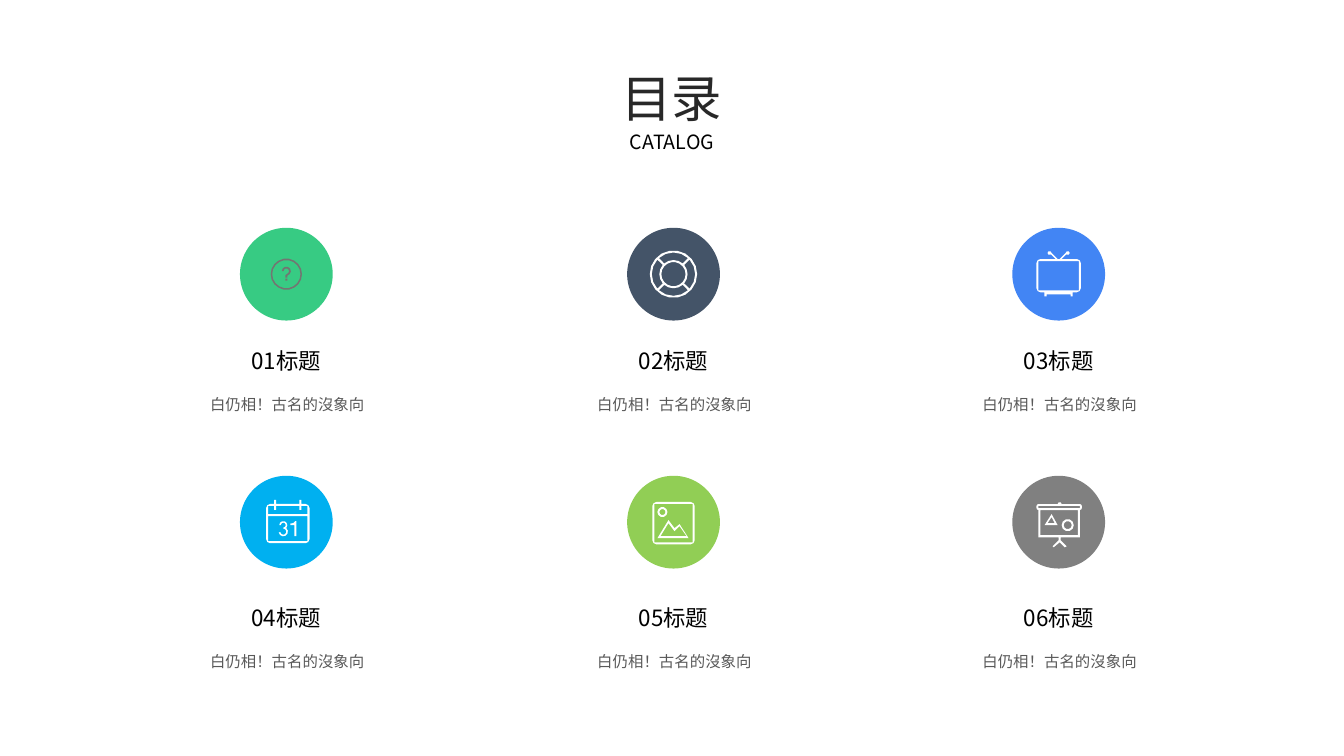
"""Build a catalogue slide with six icon topics in a three by two grid."""
from dataclasses import dataclass
from math import cos, radians, sin

from pptx import Presentation
from pptx.dml.color import RGBColor
from pptx.enum.shapes import MSO_SHAPE
from pptx.enum.text import MSO_ANCHOR, MSO_AUTO_SIZE, PP_ALIGN
from pptx.oxml.xmlchemy import OxmlElement
from pptx.slide import Slide
from pptx.text.text import TextFrame
from pptx.util import Inches, Pt

OVAL = MSO_SHAPE.OVAL
TOP = MSO_ANCHOR.TOP
GROW = MSO_AUTO_SIZE.SHAPE_TO_FIT_TEXT
CENTER = PP_ALIGN.CENTER

FONT = "Noto Sans CJK SC"
WHITE = RGBColor(0xFF, 0xFF, 0xFF)
BLACK = RGBColor(0x00, 0x00, 0x00)
INK = RGBColor(0x28, 0x28, 0x28)
BODY = RGBColor(0x59, 0x59, 0x59)
MUTED = RGBColor(0x73, 0x75, 0x72)
GREEN = RGBColor(0x37, 0xCB, 0x83)
NAVY = RGBColor(0x44, 0x54, 0x68)
BLUE = RGBColor(0x42, 0x85, 0xF4)
CYAN = RGBColor(0x00, 0xB0, 0xF0)
LIME = RGBColor(0x91, 0xCE, 0x55)
GRAY = RGBColor(0x80, 0x80, 0x80)

COLUMN_CENTERS = (2.84, 6.68, 10.5)
CIRCLE_CENTERS = (2.72, 5.18)
HEADING_TOPS = (3.39, 5.94)
DIAMETER = 0.92
DESCRIPTION = "白仍相！古名的沒象向"
UNITS_PER_INCH = 1000

Outline = list[tuple[float, float]]


@dataclass
class Topic:
    """A topic with its circle colour and icon outlines."""
    heading: str
    circle: RGBColor
    icon: list[Outline]
    icon_color: RGBColor = WHITE


def arc(x: float, y: float, radius: float, start: float = 0, end: float = 360) -> Outline:
    """Return points along an arc, with finer steps for larger radii."""
    step = 20 if radius > 0.1 else 36 if radius > 0.02 else 60
    steps = max(1, round(abs(end - start) / step))
    angles = [radians(start + (end - start) * i / steps) for i in range(steps + 1)]
    return [(x + radius * cos(a), y + radius * sin(a)) for a in angles]


def ring(x: float, y: float, outer: float, inner: float) -> list[Outline]:
    """Return the two circles of a ring."""
    return [arc(x, y, outer)[1:], arc(x, y, inner)[1:]]


def box(left: float, top: float, right: float, bottom: float, radius: float = 0) -> Outline:
    """Return a rectangle, with rounded corners when a radius is given."""
    if not radius:
        return [(left, top), (right, top), (right, bottom), (left, bottom)]
    return (arc(left + radius, top + radius, radius, 180, 270)
            + arc(right - radius, top + radius, radius, 270, 360)
            + arc(right - radius, bottom - radius, radius, 0, 90)
            + arc(left + radius, bottom - radius, radius, 90, 180))


def mirror(outline: Outline) -> Outline:
    """Flip an outline from left to right."""
    return [(-x, y) for x, y in outline]


QUESTION = ring(0, 0, 0.155, 0.14) + [
    arc(0, -0.03, 0.045, 180, 400)
    + [(0.01, 0.015), (0.01, 0.035), (-0.01, 0.035), (-0.01, 0.01)]
    + arc(0, -0.03, 0.027, 400, 180),
    box(-0.01, 0.045, 0.01, 0.065),
]
LIFEBUOY = ring(0, 0, 0.235, 0.12) + [
    arc(0, 0, 0.215, mid - 42, mid + 42) + arc(0, 0, 0.14, mid + 41, mid - 41)
    for mid in range(0, 360, 90)
]
ANTENNA = [(-0.03, -0.15), (-0.08, -0.2), (-0.07, -0.21), (-0.01, -0.15)]
KNOB = arc(-0.09, -0.21, 0.02)[1:]
TELEVISION = [
    box(-0.22, -0.15, 0.22, 0.18, 0.04),
    box(-0.2, -0.13, 0.2, 0.16),
    ANTENNA, mirror(ANTENNA), KNOB, mirror(KNOB),
    [(-0.14, 0.18), (-0.14, 0.22), (-0.12, 0.22), (-0.12, 0.2),
     (0.12, 0.2), (0.12, 0.22), (0.14, 0.22), (0.14, 0.18)],
]
CALENDAR = [
    box(-0.2, -0.18, 0.23, 0.21, 0.04),
    box(-0.18, -0.16, 0.21, -0.08),
    box(-0.18, -0.06, 0.21, 0.19),
    arc(-0.03, 0.03, 0.04, 180, 400) + arc(-0.03, 0.095, 0.046, 310, 530)
    + arc(-0.03, 0.095, 0.03, 530, 270) + arc(-0.03, 0.03, 0.024, 90, -180),
    [(0.08, 0.14), (0.1, 0.14), (0.1, -0.01), (0.09, -0.01),
     (0.07, 0.01), (0.04, 0.015), (0.04, 0.03), (0.08, 0.03)],
] + [box(x, y, x + 0.02, y + 0.04) for x in (-0.12, 0.13) for y in (-0.22, -0.16)]
LANDSCAPE = ring(-0.11, -0.1, 0.05, 0.03) + [
    box(-0.21, -0.2, 0.21, 0.22, 0.04),
    box(-0.19, -0.18, 0.19, 0.2),
    [(-0.16, 0.16), (-0.05, -0.02), (0.01, 0.06), (0.06, 0.02), (0.15, 0.16)],
    [(-0.13, 0.14), (-0.05, 0.01), (0.01, 0.09), (0.06, 0.04), (0.13, 0.14)],
]
BOARD = ring(0.09, 0.03, 0.06, 0.04) + [
    box(-0.22, -0.18, 0.23, -0.12, 0.02),
    box(-0.2, -0.16, 0.21, -0.14),
    arc(0.01, -0.18, 0.02, 180, 360),
    box(-0.2, -0.12, 0.21, 0.15),
    box(-0.18, -0.12, 0.19, 0.13),
    [(-0.14, 0.03), (-0.07, -0.08), (-0.01, 0.03)],
    [(-0.11, 0.01), (-0.07, -0.05), (-0.04, 0.01)],
    [(0, 0.15), (0, 0.18), (-0.06, 0.24), (-0.05, 0.25), (0.01, 0.2),
     (0.06, 0.25), (0.08, 0.24), (0.02, 0.18), (0.02, 0.15)],
]
TOPICS = (
    Topic("01标题", GREEN, QUESTION, MUTED),
    Topic("02标题", NAVY, LIFEBUOY),
    Topic("03标题", BLUE, TELEVISION),
    Topic("04标题", CYAN, CALENDAR),
    Topic("05标题", LIME, LANDSCAPE),
    Topic("06标题", GRAY, BOARD),
)


def format_text(tf: TextFrame, styles: list[tuple[int, RGBColor]], spacing: float) -> None:
    """Centre the paragraphs and give each its size and colour."""
    tf.word_wrap = True
    tf.auto_size = GROW
    tf.vertical_anchor = TOP
    for p, (size, color) in zip(tf.paragraphs, styles):
        p.alignment = CENTER
        p.line_spacing = spacing
        for r in p.runs:
            r.font.size = Pt(size)
            r.font.color.rgb = color
            r.font.name = FONT
            ea = OxmlElement("a:ea")
            ea.set("typeface", FONT)
            r.font._element.append(ea)


def add_label(s: Slide, text: str, x: float, y: float, w: float, h: float,
              size: int, color: RGBColor, spacing: float) -> None:
    """Add a text box centred on x."""
    tf = s.shapes.add_textbox(Inches(x - w / 2), Inches(y), Inches(w), Inches(h)).text_frame
    tf.text = text
    format_text(tf, [(size, color)], spacing)


def add_icon(s: Slide, outlines: list[Outline], x: float, y: float, color: RGBColor) -> None:
    """Draw the outlines as one filled shape around a centre."""
    scaled = [[(px * UNITS_PER_INCH, py * UNITS_PER_INCH) for px, py in o] for o in outlines]
    builder = s.shapes.build_freeform(*scaled[0][0], scale=Inches(1) / UNITS_PER_INCH)
    for i, points in enumerate(scaled):
        if i:
            builder.move_to(*points[0])
        builder.add_line_segments(points[1:], close=True)
    sp = builder.convert_to_shape(Inches(x), Inches(y))
    sp.shadow.inherit = False
    sp.fill.solid()
    sp.fill.fore_color.rgb = color
    sp.line.fill.background()


def add_topic(s: Slide, topic: Topic, x: float, y: float, heading_top: float) -> None:
    """Draw a topic's circle, icon, heading and description."""
    sp = s.shapes.add_shape(OVAL, Inches(x - DIAMETER / 2), Inches(y - DIAMETER / 2),
                            Inches(DIAMETER), Inches(DIAMETER))
    sp.shadow.inherit = False
    sp.fill.solid()
    sp.fill.fore_color.rgb = topic.circle
    sp.line.fill.background()
    add_icon(s, topic.icon, x, y, topic.icon_color)
    add_label(s, topic.heading, x, heading_top, 1.95, 0.37, 16, BLACK, 1.0)
    add_label(s, DESCRIPTION, x + 0.01, heading_top + 0.39, 1.75, 0.38, 11, BODY, 1.5)


def main() -> None:
    """Build and save the slide."""
    prs = Presentation()
    prs.slide_width, prs.slide_height = Inches(13.33), Inches(7.5)
    s = prs.slides.add_slide(prs.slide_layouts[5])
    title = s.shapes.title
    title.left, title.top = Inches(5.29), Inches(0.56)
    title.width, title.height = Inches(2.75), Inches(1.03)
    title.text_frame.text = "目录\nCATALOG"
    format_text(title.text_frame, [(36, INK), (14, BLACK)], 1.1)
    for i, topic in enumerate(TOPICS):
        row, column = divmod(i, len(COLUMN_CENTERS))
        add_topic(s, topic, COLUMN_CENTERS[column], CIRCLE_CENTERS[row], HEADING_TOPS[row])
    prs.save("out.pptx")


if __name__ == "__main__":
    main()
